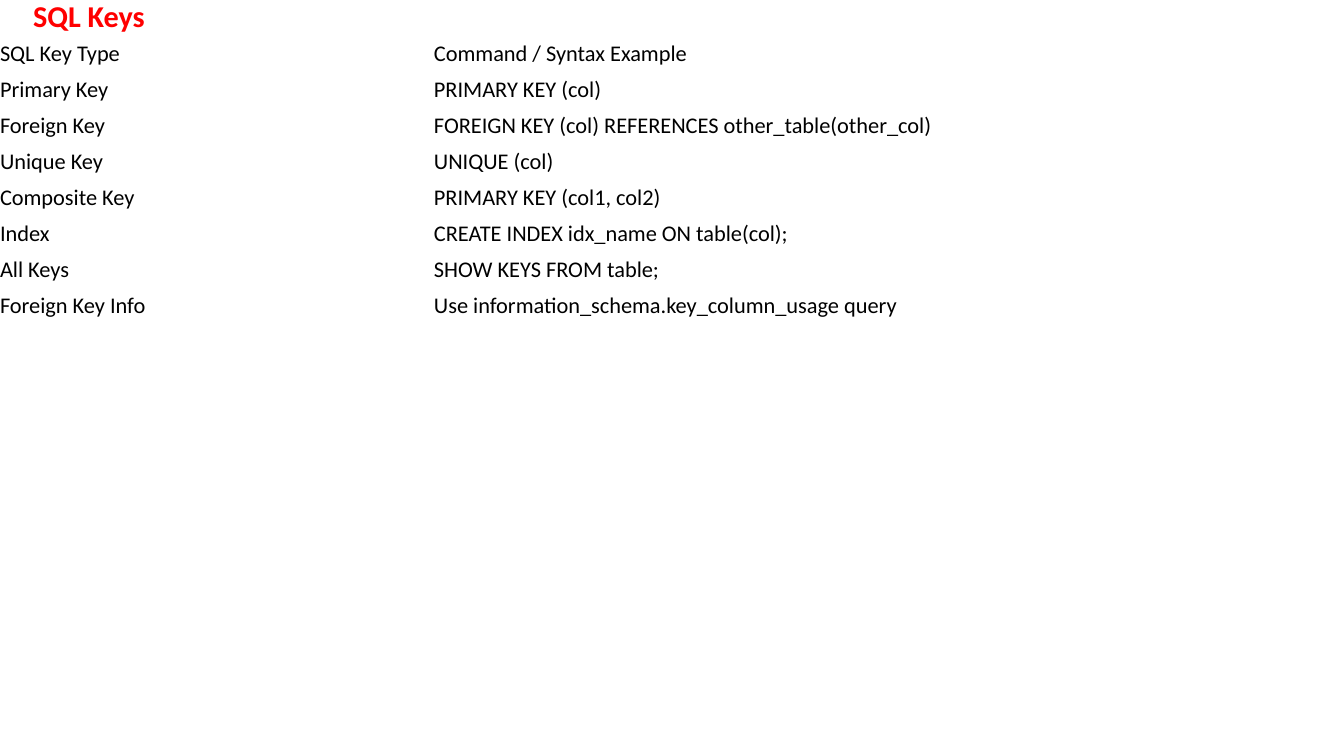
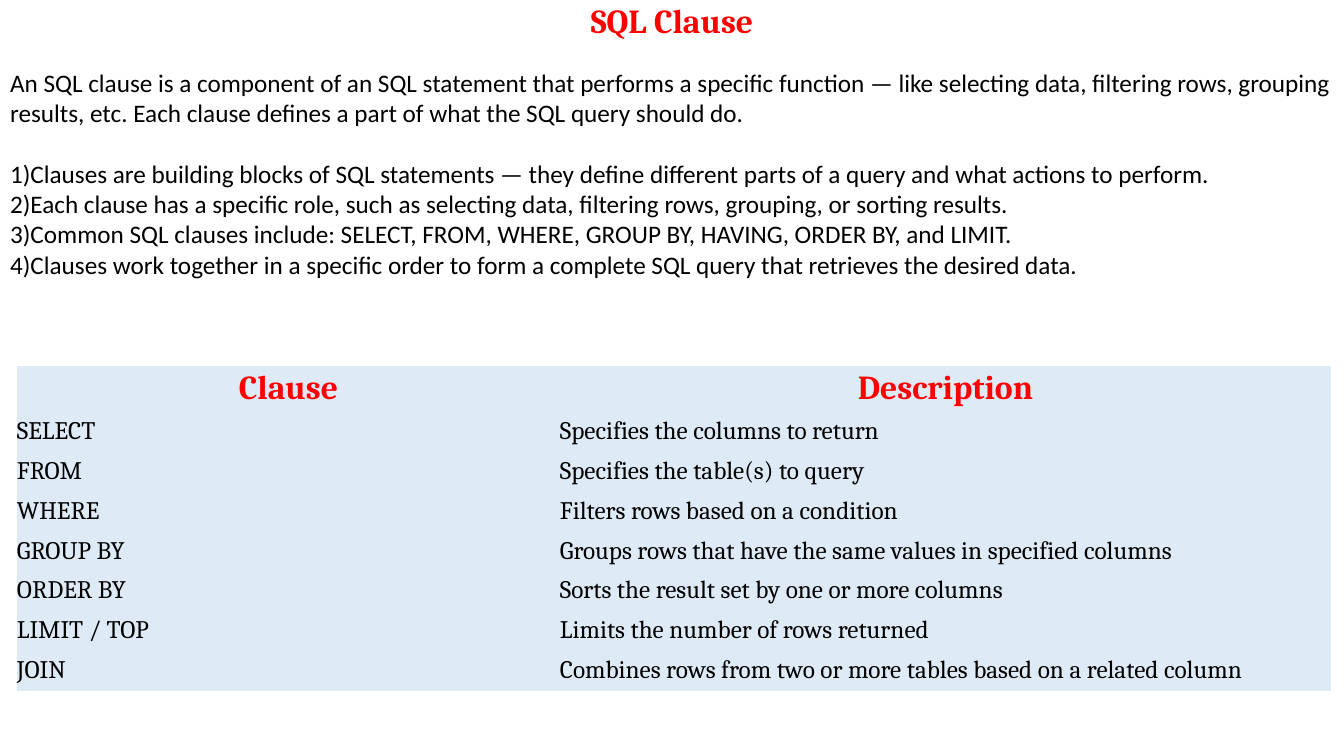
from dataclasses import dataclass

from pptx import Presentation
from pptx.dml.color import RGBColor
from pptx.enum.text import MSO_ANCHOR as Anchor, MSO_AUTO_SIZE as AutoSize, PP_ALIGN as Align
from pptx.oxml.xmlchemy import OxmlElement
from pptx.util import Emu, Pt

EMU_PER_PX = 914400 / 100.8
SLIDE_W, SLIDE_H = 1344, 756
TITLE_ONLY, TITLE_AND_BODY = 5, 1
PLAIN_TABLE_STYLE = "{2D5ABB26-0587-4C30-8999-92F81FD0307C}"


@dataclass(frozen=True)
class Theme:
    accent: RGBColor = RGBColor(0xFF, 0x00, 0x00)
    ink: RGBColor = RGBColor(0x00, 0x00, 0x00)
    panel: RGBColor = RGBColor(0xDE, 0xEB, 0xF7)
    sans: str = "Calibri"
    serif: str = "Cambria"
    heading: float = 24
    small_heading: float = 21.6
    body: float = 18
    small: float = 16
    paragraph_gap: float = 22


def px(n):
    return Emu(round(n * EMU_PER_PX))


class Deck:
    def __init__(self, theme):
        self.theme = theme
        self.prs = Presentation()
        self.prs.slide_width, self.prs.slide_height = px(SLIDE_W), px(SLIDE_H)
        self.s = None

    def add_slide(self, layout):
        self.s = self.prs.slides.add_slide(self.prs.slide_layouts[layout])

    def style(self, p, font, size, heading=False, align=Align.LEFT):
        p.alignment = align
        for r in p.runs:
            r.font.name, r.font.size, r.font.bold = font, Pt(size), heading
            r.font.color.rgb = self.theme.accent if heading else self.theme.ink

    def place(self, sp, box, anchor):
        sp.left, sp.top, sp.width, sp.height = map(px, box)
        tf = sp.text_frame
        tf.word_wrap, tf.auto_size, tf.vertical_anchor = True, AutoSize.NONE, anchor
        return tf

    def title(self, text, box, font, size, align):
        tf = self.place(self.s.shapes.title, box, Anchor.MIDDLE)
        tf.text = text
        p = tf.paragraphs[0]
        p.line_spacing = 0.9
        self.style(p, font, size, True, align)

    def body(self, intro, points, box):
        """Fill the body with an introduction, a gap and unbulleted points."""
        tf = self.place(self.s.placeholders[1], box, Anchor.TOP)
        tf.text = "\n".join([intro, *points])
        for i, p in enumerate(tf.paragraphs):
            pPr = p._p.get_or_add_pPr()
            pPr.set("marL", "0")
            pPr.set("indent", "0")
            pPr.append(OxmlElement("a:buNone"))
            p.space_before = Pt(self.theme.paragraph_gap if i == 1 else 0)
            self.style(p, self.theme.sans, self.theme.body)

    def table(self, rows, left, top, widths, heights, font, size, fill=None, heading=False):
        """Draw a borderless table; heading sets the first row as a heading."""
        frame = self.s.shapes.add_table(len(rows), len(widths), px(left), px(top),
                                        px(sum(widths)), px(sum(heights)))
        table = frame.table
        table.first_row = table.horz_banding = False
        table._tbl.tblPr[0].text = PLAIN_TABLE_STYLE
        for column, width in zip(table.columns, widths):
            column.width = px(width)
        for i, (row, height, texts) in enumerate(zip(table.rows, heights, rows)):
            row.height = px(height)
            for cell, text in zip(row.cells, texts):
                self.cell(cell, text, fill)
                p = cell.text_frame.paragraphs[0]
                if heading and i == 0:
                    self.style(p, font, self.theme.heading, True, Align.CENTER)
                else:
                    self.style(p, font, size)

    def cell(self, cell, text, fill):
        cell.margin_left = cell.margin_right = cell.margin_top = cell.margin_bottom = 0
        cell.vertical_anchor = Anchor.MIDDLE
        cell.text_frame.text = text
        if fill is None:
            cell.fill.background()
        else:
            cell.fill.solid()
            cell.fill.fore_color.rgb = fill


KEYS = [
    ("SQL Key Type", "Command / Syntax Example"),
    ("Primary Key", "PRIMARY KEY (col)"),
    ("Foreign Key", "FOREIGN KEY (col) REFERENCES other_table(other_col)"),
    ("Unique Key", "UNIQUE (col)"),
    ("Composite Key", "PRIMARY KEY (col1, col2)"),
    ("Index", "CREATE INDEX idx_name ON table(col);"),
    ("All Keys", "SHOW KEYS FROM table;"),
    ("Foreign Key Info", "Use information_schema.key_column_usage query"),
]

CLAUSE_INTRO = (
    "An SQL clause is a component of an SQL statement that performs a specific function — "
    "like selecting data, filtering rows, grouping results, etc. "
    "Each clause defines a part of what the SQL query should do."
)
CLAUSE_POINTS = [
    "1)Clauses are building blocks of SQL statements — they define different parts of a query "
    "and what actions to perform.",
    "2)Each clause has a specific role, such as selecting data, filtering rows, grouping, "
    "or sorting results.",
    "3)Common SQL clauses include: SELECT, FROM, WHERE, GROUP BY, HAVING, ORDER BY, and LIMIT.",
    "4)Clauses work together in a specific order to form a complete SQL query "
    "that retrieves the desired data.",
]
CLAUSES = [
    ("Clause", "Description"),
    ("SELECT", "Specifies the columns to return"),
    ("FROM", "Specifies the table(s) to query"),
    ("WHERE", "Filters rows based on a condition"),
    ("GROUP BY", "Groups rows that have the same values in specified columns"),
    ("ORDER BY", "Sorts the result set by one or more columns"),
    ("LIMIT / TOP", "Limits the number of rows returned"),
    ("JOIN", "Combines rows from two or more tables based on a related column"),
]


def keys_slide(deck):
    t = deck.theme
    deck.add_slide(TITLE_ONLY)
    deck.title("SQL Keys", (23, 0, 1159, 36), t.sans, t.small_heading, Align.LEFT)
    deck.table(KEYS, 0, 36, (434, 910), [36] * len(KEYS), t.sans, t.small)


def clause_slide(deck):
    t = deck.theme
    deck.add_slide(TITLE_AND_BODY)
    deck.title("SQL Clause", (0, 0, SLIDE_W, 45), t.serif, t.heading, Align.CENTER)
    deck.body(CLAUSE_INTRO, CLAUSE_POINTS, (0, 62, SLIDE_W, 272))
    heights = [45] + [40] * (len(CLAUSES) - 1)
    deck.table(CLAUSES, 17, 366, (543, 771), heights, t.serif, t.body, t.panel, heading=True)


def main():
    deck = Deck(Theme())
    keys_slide(deck)
    clause_slide(deck)
    deck.prs.save("out.pptx")


if __name__ == "__main__":
    main()
